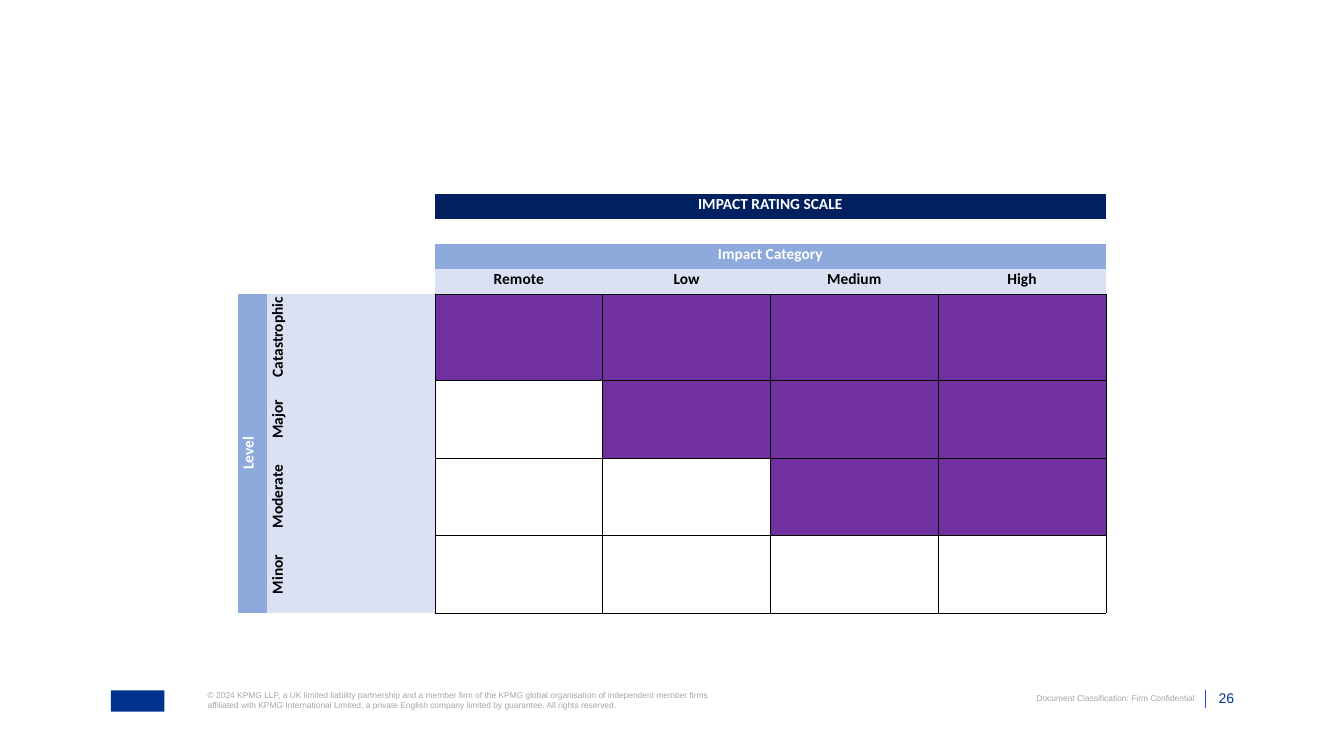
from lxml import etree
from pptx import Presentation
from pptx.dml.color import RGBColor
from pptx.enum import shapes, text
from pptx.oxml import ns
from pptx.util import Inches, Pt

NAVY = RGBColor(0x00, 0x20, 0x60)
BLUE = RGBColor(0x8E, 0xA9, 0xDB)
PALE = RGBColor(0xD9, 0xE1, 0xF2)
PURPLE = RGBColor(0x70, 0x30, 0xA0)
WHITE = RGBColor(0xFF, 0xFF, 0xFF)
BLACK = RGBColor(0x00, 0x00, 0x00)
GREY = RGBColor(0xA6, 0xA6, 0xA6)
BRAND = RGBColor(0x00, 0x33, 0x8D)
RULE = RGBColor(0x1E, 0x49, 0xE2)

CATEGORIES = ["Remote", "Low", "Medium", "High"]
# Level and the number of rated cells, counted from the right
LEVELS = [("Catastrophic", 4), ("Major", 3), ("Moderate", 2), ("Minor", 0)]
COLUMN_WIDTHS = [0.29] + [1.664] * 5
ROW_HEIGHTS = [0.24] * 4 + [0.85] + [0.77] * 3
COPYRIGHT = (
    "© 2024 KPMG LLP, a UK limited liability partnership and a member firm of the "
    "KPMG global organisation of independent member firms affiliated with KPMG "
    "International Limited, a private English company limited by guarantee. "
    "All rights reserved."
)


def write(para, words, *, size, font, color, bold=False, align=text.PP_ALIGN.LEFT):
    para.alignment = align
    span = para.add_run()
    span.text = words
    span.font.size = Pt(size)
    span.font.name = font
    span.font.bold = bold
    span.font.color.rgb = color


class Slide:
    def __init__(self, page):
        self.page = page
        self.note_font = "Arial"
        self.table_font = "Calibri"
        self.table_size = 11

    def label(self, words, left, top, width, height, *, anchor=text.MSO_ANCHOR.TOP, **style):
        box = self.page.shapes.add_textbox(*map(Inches, (left, top, width, height)))
        frame = box.text_frame
        frame.word_wrap = True
        frame.vertical_anchor = anchor
        frame.margin_left = frame.margin_right = frame.margin_top = frame.margin_bottom = 0
        write(frame.paragraphs[0], words, font=self.note_font, **style)

    def block(self, left, top, width, height, color):
        shape = self.page.shapes.add_shape(
            shapes.MSO_SHAPE.RECTANGLE, *map(Inches, (left, top, width, height)))
        shape.shadow.inherit = False
        shape.fill.solid()
        shape.fill.fore_color.rgb = color
        shape.line.fill.background()

    def line(self, x1, y1, x2, y2, color, width):
        line = self.page.shapes.add_connector(
            shapes.MSO_CONNECTOR.STRAIGHT, *map(Inches, (x1, y1, x2, y2)))
        line.line.color.rgb = color
        line.line.width = Pt(width)
        etree.SubElement(line._element.spPr, ns.qn("a:effectLst"))

    def table(self, left, top, widths, heights):
        """Add a table of plain, borderless cells."""
        frame = self.page.shapes.add_table(
            len(heights), len(widths), Inches(left), Inches(top),
            Inches(sum(widths)), Inches(sum(heights)))
        table = frame.table
        table.first_row = table.horz_banding = False
        for column, width in zip(table.columns, widths):
            column.width = Inches(width)
        for row, height in zip(table.rows, heights):
            row.height = Inches(height)
        for cell in table.iter_cells():
            self.cell(cell)
        return table

    def cell(self, cell, words="", *, fill=None, color=BLACK, borders="", upright=False):
        """Format a cell; borders names the lined sides, from L, R, T and B."""
        cell.margin_left = cell.margin_right = cell.margin_top = Inches(0.01)
        cell.margin_bottom = Inches(0.05)
        cell.vertical_anchor = text.MSO_ANCHOR.MIDDLE
        if fill is None:
            cell.fill.background()
        else:
            cell.fill.solid()
            cell.fill.fore_color.rgb = fill
        self.borders(cell, borders)
        if upright:
            cell._tc.get_or_add_tcPr().set("vert", "vert270")
        para = cell.text_frame.paragraphs[0]
        for end in para._p.findall(ns.qn("a:endParaRPr")):
            para._p.remove(end)
        if words:
            write(para, words, size=self.table_size, font=self.table_font, color=color,
                  bold=True, align=text.PP_ALIGN.CENTER)
        else:
            etree.SubElement(para._p, ns.qn("a:endParaRPr"), sz=str(self.table_size * 100))

    def borders(self, cell, sides):
        properties = cell._tc.get_or_add_tcPr()
        for position, side in enumerate("LRTB"):
            tag = ns.qn(f"a:ln{side}")
            for old in properties.findall(tag):
                properties.remove(old)
            line = etree.Element(tag, w=str(Pt(0.5)))
            if side in sides:
                paint = etree.SubElement(line, ns.qn("a:solidFill"))
                etree.SubElement(paint, ns.qn("a:srgbClr"), val=str(BLACK))
            else:
                etree.SubElement(line, ns.qn("a:noFill"))
            properties.insert(position, line)


def add_rating_table(slide):
    table = slide.table(2.36, 1.92, COLUMN_WIDTHS, ROW_HEIGHTS)
    for row in (0, 1):
        table.cell(row, 0).merge(table.cell(row, 1))
    for row, words, fill in ((0, "IMPACT RATING SCALE", NAVY), (2, "Impact Category", BLUE)):
        table.cell(row, 2).merge(table.cell(row, 5))
        slide.cell(table.cell(row, 2), words, fill=fill, color=WHITE)
    for column, category in enumerate(CATEGORIES, 2):
        slide.cell(table.cell(3, column), category, fill=PALE, borders="B")

    table.cell(4, 0).merge(table.cell(7, 0))
    slide.cell(table.cell(4, 0), "Level", fill=BLUE, color=WHITE, upright=True)
    for row, (level, rated) in enumerate(LEVELS, 4):
        slide.cell(table.cell(row, 1), level, fill=PALE, borders="R", upright=True)
        for column in range(2, 6):
            fill = PURPLE if column >= 6 - rated else None
            slide.cell(table.cell(row, column), fill=fill, borders="LRTB")


def add_footer(slide):
    right = text.PP_ALIGN.RIGHT
    slide.block(1.1, 6.85, 0.53, 0.21, BRAND)
    slide.label(COPYRIGHT, 2.06, 6.85, 5.06, 0.2, size=6, color=GREY)
    slide.label("Document Classification: Firm Confidential", 9.81, 6.88, 2.04, 0.1,
                size=6, color=GREY, align=right)
    slide.line(11.95, 6.85, 11.95, 7.02, RULE, 0.5)
    slide.label("26", 11.97, 6.85, 0.27, 0.16, size=10, color=BRAND, align=right,
                anchor=text.MSO_ANCHOR.BOTTOM)


def main():
    deck = Presentation()
    deck.slide_width, deck.slide_height = Inches(13.33), Inches(7.5)
    slide = Slide(deck.slides.add_slide(deck.slide_layouts[6]))
    add_rating_table(slide)
    add_footer(slide)
    deck.save("out.pptx")


if __name__ == "__main__":
    main()
